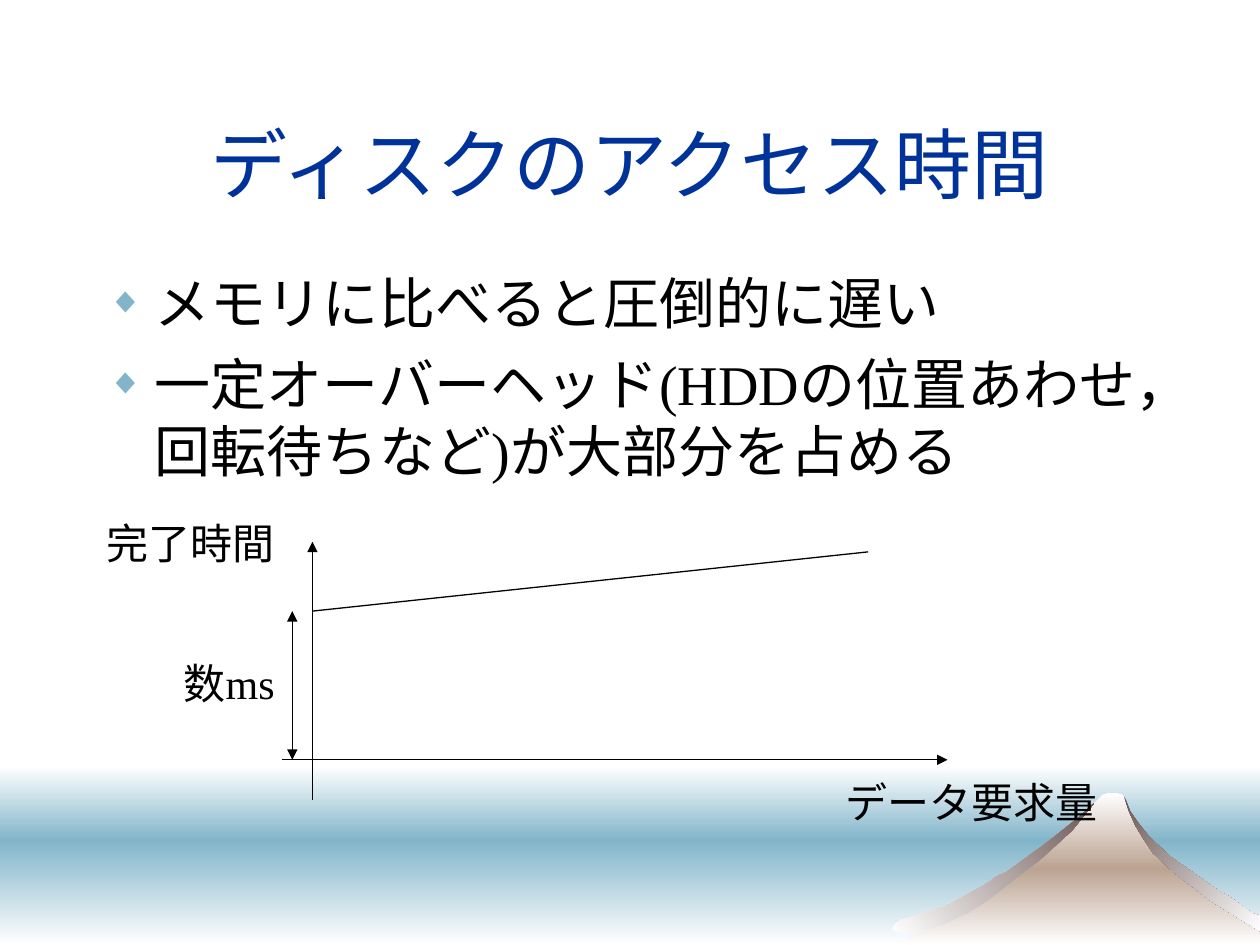
from dataclasses import dataclass

import lxml.etree
import pptx
import pptx.dml.color
import pptx.enum.shapes
import pptx.enum.text
import pptx.oxml
import pptx.oxml.ns
import pptx.util

Inches = pptx.util.Inches
Pt = pptx.util.Pt
qn = pptx.oxml.ns.qn


@dataclass(frozen=True)
class Theme:
    serif: str = "Times New Roman"
    sans: str = "Arial"
    title_color: str = "003399"
    ink: str = "000000"
    sea: str = "82B5CA"
    snow: str = "FFFFFF"
    earth: str = "BCA392"
    rock: str = "6B5653"
    title_size: int = 44
    body_size: int = 32
    label_size: int = 24
    line_width: float = 0.75


THEME = Theme()
WIDTH, HEIGHT = 10, 7.5
MARGIN = 0.075 * WIDTH
CONTENT_WIDTH = WIDTH - 2 * MARGIN

TITLE = "ディスクのアクセス時間"
BULLETS = [
    "メモリに比べると圧倒的に遅い",
    "一定オーバーヘッド(HDDの位置あわせ，回転待ちなど)が大部分を占める",
]

# Graph geometry in inches
ORIGIN_X, ORIGIN_Y = 2.48, 6.03
OVERHEAD_Y = 4.85
BRACKET_X = ORIGIN_X - 0.16
LINES = [  # start, end, arrowhead ends
    ((2.24, ORIGIN_Y), (7.52, ORIGIN_Y), ["tailEnd"]),
    ((ORIGIN_X, 6.35), (ORIGIN_X, 4.3), ["tailEnd"]),
    ((ORIGIN_X, OVERHEAD_Y), (6.89, 4.38), []),
    ((BRACKET_X, OVERHEAD_Y), (BRACKET_X, ORIGIN_Y), ["headEnd", "tailEnd"]),
]
LABELS = [  # text, left, top, width, font
    ("データ要求量", 6.61, 6.11, 2.2, THEME.sans),
    ("完了時間", MARGIN, 4.06, 1.53, THEME.sans),
    ("数ms", 1.36, 5.17, 1, THEME.serif),
]
LABEL_HEIGHT = 0.5

# Scenery: sea bands in inches, mountain outlines in hundredths of an inch
HORIZON = 6.67
SEA_BANDS = [  # top, bottom, colours
    (6.08, HORIZON, [THEME.snow, THEME.sea]),
    (HORIZON, HEIGHT, [THEME.sea, THEME.snow]),
]
MOUNTAIN = [
    (711, 750), (790, 705), (840, 666), (869, 637), (875, 631), (880, 629),
    (886, 629), (891, 631), (903, 657), (922, 680), (968, 712), (1000, 733),
    (1000, 750),
]
RIGHT_RIDGE = [
    (915, 677), (931, 692), (948, 705), (953, 709), (961, 715), (990, 733),
    (1000, 739), (1000, 727), (994, 725), (979, 714), (973, 710), (970, 709),
    (929, 680), (912, 664), (904, 654), (897, 644), (894, 636), (892, 632),
    (893, 635), (896, 644), (901, 655), (907, 665),
]
LEFT_RIDGE = [
    (832, 668), (799, 692), (792, 695), (782, 702), (751, 719), (735, 723),
    (720, 729), (715, 730), (711, 733), (709, 735), (708, 737), (710, 739),
    (714, 740), (720, 741), (730, 739), (739, 737), (750, 733), (769, 724),
    (780, 717), (786, 713), (827, 681), (851, 659), (864, 643), (868, 638),
    (865, 640), (856, 649),
]
OUTLINES = [  # points, colours, clockwise angle
    (MOUNTAIN, [THEME.snow, THEME.earth, THEME.snow], 90),
    (RIGHT_RIDGE, [THEME.rock, THEME.snow], 45),
    (LEFT_RIDGE, [THEME.snow, THEME.rock], 315),
]


def rgb(color):
    return pptx.dml.color.RGBColor.from_string(color)


def add_child(parent, tag, **attributes):
    child = lxml.etree.SubElement(parent, qn(tag))
    for name, value in attributes.items():
        child.set(name, str(value))
    return child


def place(shape, left, top, width, height):
    shape.left, shape.top = Inches(left), Inches(top)
    shape.width, shape.height = Inches(width), Inches(height)


def paint_gradient(shape, colors, angle):
    """Fill with evenly spaced colours, without outline or shadow."""
    shape.shadow.inherit = False
    shape.line.fill.background()
    shape.fill.gradient()
    shape.fill.gradient_angle = (360 - angle) % 360
    stops = shape.element.spPr.find(qn("a:gradFill")).find(qn("a:gsLst"))
    for stop in list(stops):
        stops.remove(stop)
    for index, color in enumerate(colors):
        position = 100000 * index // (len(colors) - 1)
        add_child(add_child(stops, "a:gs", pos=position), "a:srgbClr", val=color)


def write(paragraph, text, *, size, font=THEME.serif, color=THEME.ink, align=None):
    run = paragraph.add_run()
    run.text = text
    run.font.size = Pt(size)
    run.font.name = font
    run.font.color.rgb = rgb(color)
    paragraph.alignment = align


def add_bullet(paragraph):
    paragraph.space_before = Pt(8)
    properties = paragraph._p.get_or_add_pPr()
    properties.set("marL", str(Inches(0.38)))
    properties.set("indent", str(-Inches(0.38)))
    add_child(add_child(properties, "a:buClr"), "a:srgbClr", val=THEME.sea)
    add_child(properties, "a:buSzPct", val=65000)
    add_child(properties, "a:buChar", char="◆")


def add_scenery(shapes):
    for top, bottom, colors in SEA_BANDS:
        band = shapes.add_shape(pptx.enum.shapes.MSO_SHAPE.RECTANGLE, 0, Inches(top),
                                Inches(WIDTH), Inches(bottom - top))
        paint_gradient(band, colors, 90)
    for points, colors, angle in OUTLINES:
        builder = shapes.build_freeform(*points[0], scale=Inches(0.01))
        builder.add_line_segments(points[1:], close=True)
        paint_gradient(builder.convert_to_shape(), colors, angle)


def fill_placeholders(slide):
    title, body = slide.shapes.title, slide.placeholders[1]
    place(title, MARGIN, 0.67, CONTENT_WIDTH, 1.25)
    place(body, MARGIN, 2.08, CONTENT_WIDTH, 0.6 * HEIGHT)
    for placeholder in (title, body):
        placeholder.text_frame.auto_size = pptx.enum.text.MSO_AUTO_SIZE.NONE
        # Bring the text in front of the scenery
        slide.shapes.element.append(placeholder.element)
    title.text_frame.vertical_anchor = pptx.enum.text.MSO_ANCHOR.MIDDLE
    write(title.text_frame.paragraphs[0], TITLE, size=THEME.title_size,
          color=THEME.title_color, align=pptx.enum.text.PP_ALIGN.CENTER)
    for index, text in enumerate(BULLETS):
        frame = body.text_frame
        paragraph = frame.add_paragraph() if index else frame.paragraphs[0]
        write(paragraph, text, size=THEME.body_size)
        add_bullet(paragraph)


def add_graph(shapes):
    for start, end, arrowheads in LINES:
        line = shapes.add_connector(pptx.enum.shapes.MSO_CONNECTOR.STRAIGHT,
                                    *map(Inches, start + end))
        line.line.color.rgb = rgb(THEME.ink)
        line.line.width = Pt(THEME.line_width)
        for end_name in arrowheads:
            add_child(line.line._get_or_add_ln(), f"a:{end_name}", type="triangle")
        add_child(line.element.spPr, "a:effectLst")
    for text, left, top, width, font in LABELS:
        label = shapes.add_textbox(*map(Inches, (left, top, width, LABEL_HEIGHT)))
        label.text_frame.word_wrap = False
        label.text_frame.auto_size = pptx.enum.text.MSO_AUTO_SIZE.SHAPE_TO_FIT_TEXT
        write(label.text_frame.paragraphs[0], text, size=THEME.label_size, font=font)


def main():
    presentation = pptx.Presentation()
    presentation.slide_width, presentation.slide_height = Inches(WIDTH), Inches(HEIGHT)
    slide = presentation.slides.add_slide(presentation.slide_layouts[1])
    add_scenery(slide.shapes)
    fill_placeholders(slide)
    add_graph(slide.shapes)
    presentation.save("out.pptx")


if __name__ == "__main__":
    main()
